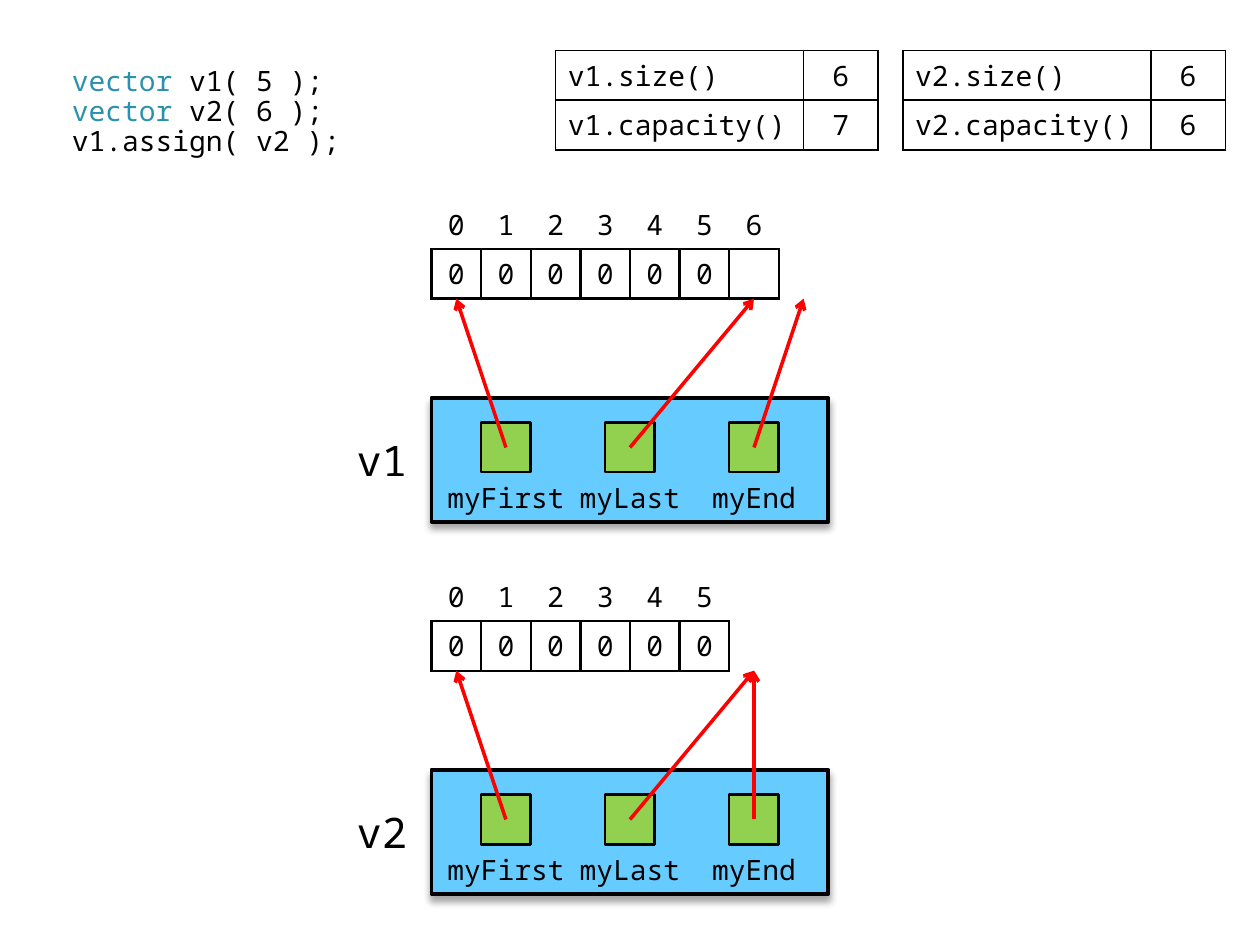
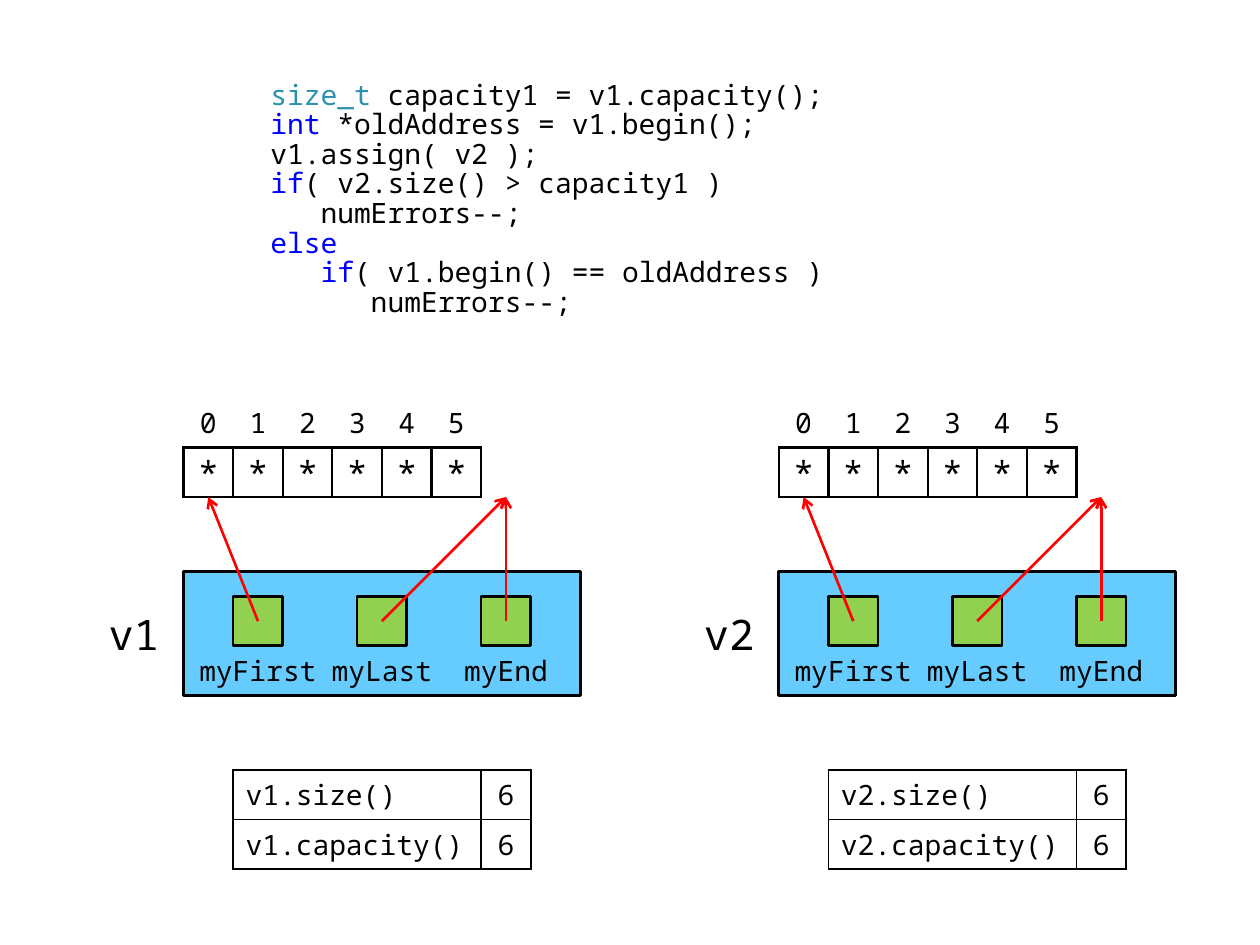
from lxml import etree
from pptx import Presentation
from pptx.dml.color import RGBColor
from pptx.enum import shapes as kinds, text as txt
from pptx.oxml.ns import qn
from pptx.util import Cm, Pt

INK = {"text": "000000", "type": "2B91AF", "word": "0000FF",
       "box": "66CCFF", "field": "92D050", "arrow": "FF0000"}
WORDS = {"vector": "type", "size_t": "type",
         "int": "word", "if": "word", "else": "word"}
FONT = "Noto Sans Mono"
PLAIN = "{2D5ABB26-0587-4C30-8999-92F81FD0307C}"
FIELDS = ["myFirst", "myLast", "myEnd"]
STEP = 2.5


def hue(name):
    """Return a named colour."""
    return RGBColor.from_string(INK[name])


def style(run, size=16, ink="text"):
    """Set the font of a run."""
    run.font.name, run.font.size = FONT, Pt(size)
    run.font.color.rgb = hue(ink)


def frame(slide, x, y, w, h, anchor=txt.MSO_ANCHOR.MIDDLE):
    """Add an empty text box and return its text frame."""
    tf = slide.shapes.add_textbox(Cm(x), Cm(y), Cm(w), Cm(h)).text_frame
    tf.word_wrap = True
    tf.vertical_anchor = anchor
    return tf


def label(slide, words, x, y, w, h, size=16):
    """Add one centred line of text."""
    tf = frame(slide, x, y, w, h)
    tf.text = words
    para = tf.paragraphs[0]
    para.alignment = txt.PP_ALIGN.CENTER
    style(para.runs[0], size)


def code(slide, lines, x, y, w, h, anchor):
    """Add code lines, colouring the word that opens a line."""
    tf = frame(slide, x, y, w, h, anchor)
    for i, line in enumerate(lines):
        para = tf.add_paragraph() if i else tf.paragraphs[0]
        para.line_spacing = 0.88
        body = line.lstrip()
        pad = line[:len(line) - len(body)]
        key = next((k for k in WORDS if body.startswith(k)), "")
        parts = [(pad, "text"), (key, WORDS.get(key)), (body[len(key):], "text")]
        for part, ink in parts:
            if part:
                run = para.add_run()
                run.text = part
                style(run, ink=ink)


def block(slide, kind, x, y, w, h, fill, width):
    """Add a filled shape with a black outline."""
    shape = slide.shapes.add_shape(kind, Cm(x), Cm(y), Cm(w), Cm(h))
    shape.shadow.inherit = False
    shape.fill.solid()
    shape.fill.fore_color.rgb = hue(fill)
    shape.line.color.rgb = hue("text")
    shape.line.width = Pt(width)
    return shape


def shade(shape):
    """Give a shape a soft shadow below it."""
    fx = shape._element.spPr.find(qn("a:effectLst"))
    cast = etree.SubElement(fx, qn("a:outerShdw"), blurRad=str(Pt(4)),
                            dist=str(Pt(3)), dir="5400000", rotWithShape="0")
    ink = etree.SubElement(cast, qn("a:srgbClr"), val=INK["text"])
    etree.SubElement(ink, qn("a:alpha"), val="35000")


def arrow(slide, x1, y1, x2, y2, width):
    """Add a red arrow."""
    line = slide.shapes.add_connector(
        kinds.MSO_CONNECTOR.STRAIGHT, Cm(x1), Cm(y1), Cm(x2), Cm(y2))
    line.line.color.rgb = hue("arrow")
    line.line.width = Pt(width)
    etree.SubElement(line.line._get_or_add_ln(), qn("a:tailEnd"), type="arrow")
    etree.SubElement(line._element.spPr, qn("a:effectLst"))


def grid(slide, x, y, cols, rows):
    """Add a plain table with rows one centimetre high."""
    table = slide.shapes.add_table(
        rows, len(cols), Cm(x), Cm(y), Cm(sum(cols)), Cm(rows)).table
    table._tbl.tblPr.find(qn("a:tableStyleId")).text = PLAIN
    table.first_row = table.horz_banding = False
    for col, wide in zip(table.columns, cols):
        col.width = Cm(wide)
    for row in table.rows:
        row.height = Cm(1)
    return table


def fill(cell, words, sides, width, inset, size=16, left=False):
    """Write a table cell and rule its sides."""
    props = cell._tc.get_or_add_tcPr()
    for side in sides:
        edge = etree.SubElement(props, qn("a:ln" + side), w=str(Pt(width)))
        paint = etree.SubElement(edge, qn("a:solidFill"))
        etree.SubElement(paint, qn("a:srgbClr"), val=INK["text"])
    cell.fill.background()
    cell.margin_left = cell.margin_right = Cm(inset)
    cell.margin_top = cell.margin_bottom = Cm(0.1 if inset else 0)
    cell.vertical_anchor = (txt.MSO_ANCHOR.MIDDLE if inset
                            else txt.MSO_ANCHOR.BOTTOM)
    cell.text = words
    para = cell.text_frame.paragraphs[0]
    para.alignment = txt.PP_ALIGN.LEFT if left else txt.PP_ALIGN.CENTER
    for run in para.runs:
        style(run, size)


def stats(slide, name, x, y, size, room, wide):
    """Add the table of size and capacity."""
    table = grid(slide, x, y, [5, wide], 2)
    for r, (call, num) in enumerate([("size", size), ("capacity", room)]):
        fill(table.cell(r, 0), f"{name}.{call}()", "LRTB", 1, 0.25, left=True)
        fill(table.cell(r, 1), str(num), "LRTB", 1, 0.25)


def array(slide, x, y, items):
    """Add numbered array cells."""
    table = grid(slide, x, y, [1] * len(items), 2)
    for c, item in enumerate(items):
        star = item == "*"
        fill(table.cell(0, c), str(c), "B", 1.5, 0.15)
        fill(table.cell(1, c), item, "LRTB", 1.5,
             0 if star else 0.15, 20 if star else 16)


def vector(slide, name, x, y, items, gap, width, edge, shadow=False):
    """Draw a vector object whose fields point into its array."""
    array(slide, x, y, items)
    foot = y + 2
    top = foot + gap
    label(slide, name, x - 2, top + 0.5, 2, 1.5, 24)
    box = block(slide, kinds.MSO_SHAPE.FLOWCHART_PROCESS,
                x, top, 8, 2.5, "box", edge)
    if shadow:
        shade(box)
    size = sum(item != "" for item in items)
    for i, (field, goal) in enumerate(zip(FIELDS, [0, size, len(items)])):
        left = x + i * STEP
        block(slide, kinds.MSO_SHAPE.RECTANGLE,
              left + 1, top + 0.5, 1, 1, "field", 1.5)
        label(slide, field, left, top + 1.5, 3, 1)
        arrow(slide, left + 1.5, top + 1, x + goal + 0.5, foot, width)


def assign(slide):
    """Build the slide on assigning a larger vector."""
    code(slide, ["vector v1( 5 );", "vector v2( 6 );", "v1.assign( v2 );"],
         1.2, 1.02, 6, 2.5, txt.MSO_ANCHOR.MIDDLE)
    zeros = ["0"] * 6
    for i, (name, items) in enumerate([("v1", zeros + [""]), ("v2", zeros)]):
        stats(slide, name, 11.2 + 7 * i, 1.02, 6, len(items), 1.5)
        vector(slide, name, 8.7, 4.02 + 7.5 * i, items, 2, 2, 2.25, True)


def check(slide):
    """Build the slide on checking the result."""
    lines = ["size_t capacity1 = v1.capacity();",
             "int *oldAddress = v1.begin();",
             "v1.assign( v2 );",
             "if( v2.size() > capacity1 )",
             "   numErrors--;",
             "else",
             "   if( v1.begin() == oldAddress )",
             "      numErrors--;"]
    code(slide, lines, 5.2, 1.52, 12, 6, txt.MSO_ANCHOR.TOP)
    for i, name in enumerate(["v1", "v2"]):
        x = 3.7 + 12 * i
        vector(slide, name, x, 8.02, ["*"] * 6, 1.5, 1.5, 1.5)
        stats(slide, name, x + 1, 15.52, 6, 6, 1)


def main():
    """Build and save the deck."""
    deck = Presentation()
    deck.slide_width, deck.slide_height = Cm(25.4), Cm(19.05)
    for build in (assign, check):
        build(deck.slides.add_slide(deck.slide_layouts[6]))
    deck.save("out.pptx")


if __name__ == "__main__":
    main()
